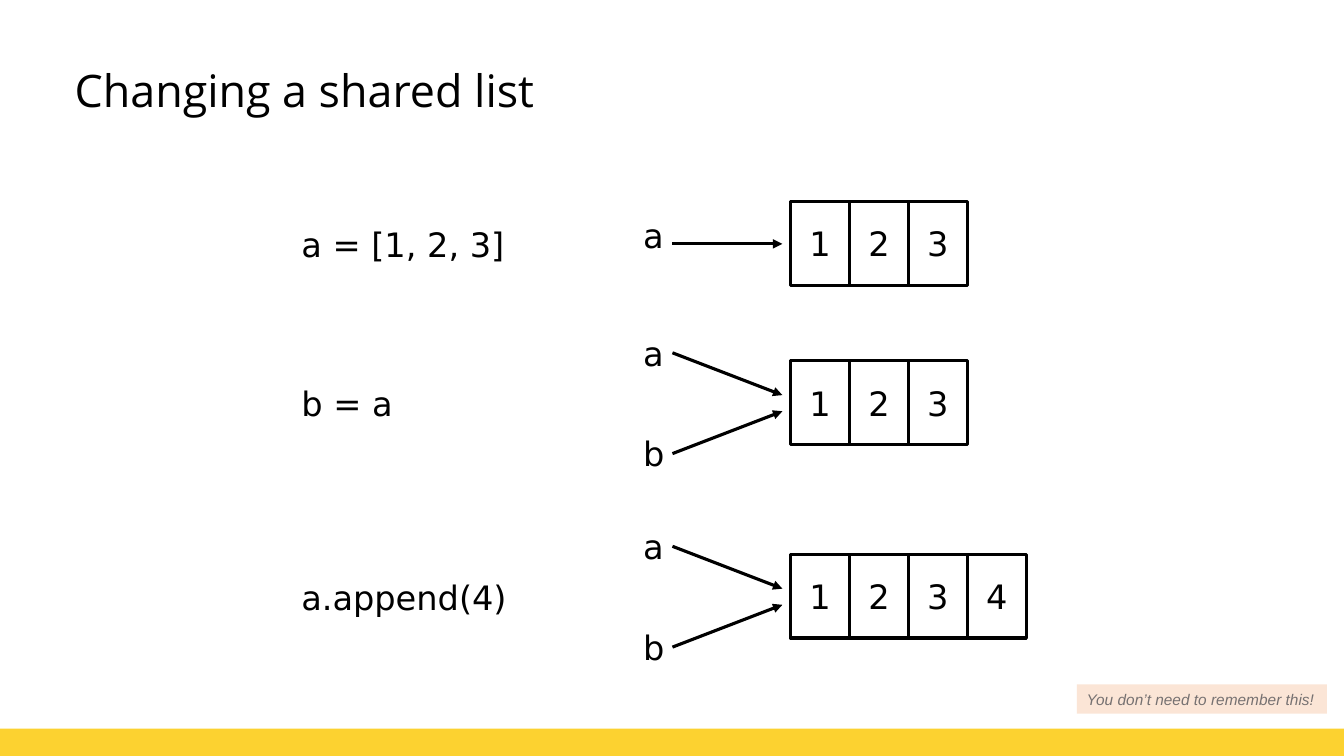
from lxml import etree
from pptx import Presentation
from pptx.dml.color import RGBColor
from pptx.enum.shapes import MSO_CONNECTOR, MSO_SHAPE
from pptx.enum.text import MSO_ANCHOR as Anchor, PP_ALIGN as Align
from pptx.oxml.ns import qn
from pptx.util import Inches, Pt

BLACK = RGBColor(0x00, 0x00, 0x00)
YELLOW = RGBColor(0xFC, 0xD2, 0x30)
PEACH = RGBColor(0xFB, 0xE5, 0xD6)
GREY = RGBColor(0x76, 0x71, 0x71)
CODE_FONT = "DejaVu Sans"

CODE_LEFT = 2.89
NAME_LEFT, NAME_WIDTH = 6.28, 0.35
ARROW_START, ARROW_END = 6.67, 7.76
CELL_LEFT, CELL_WIDTH, CELL_HEIGHT = 7.84, 0.585, 0.83

# Code, top of the list, values, and per name: label, its top, arrow start and end
# (the last three measured from the top of the list)
BOTH_NAMES = [("a", -0.33, -0.08, 0.34), ("b", 0.67, 0.92, 0.5)]
STEPS = [
    ("a = [1, 2, 3]", 2.0, "123", [("a", 0.08, 0.42, 0.42)]),
    ("b = a", 3.58, "123", BOTH_NAMES),
    ("a.append(4)", 5.5, "1234", BOTH_NAMES),
]

presentation = Presentation()
presentation.slide_width = Inches(13.33)
presentation.slide_height = Inches(7.5)
slide = presentation.slides.add_slide(presentation.slide_layouts[6])


def write(shape, text, size=24, font=CODE_FONT, color=BLACK, wrap=True):
    shape.text_frame.word_wrap = wrap
    paragraph = shape.text_frame.paragraphs[0]
    run = paragraph.add_run()
    run.text = text
    run.font.size = Pt(size)
    run.font.name = font
    run.font.color.rgb = color
    return paragraph


def add_box(left, top, width, height, fill=None):
    shape = slide.shapes.add_shape(
        MSO_SHAPE.RECTANGLE, Inches(left), Inches(top), Inches(width), Inches(height))
    shape.shadow.inherit = False
    if fill is None:
        shape.fill.background()
        shape.line.color.rgb = BLACK
        shape.line.width = Pt(2.25)
    else:
        shape.fill.solid()
        shape.fill.fore_color.rgb = fill
        shape.line.fill.background()
    return shape


# Bottom band
add_box(0, 7.23, 13.33, 0.27, YELLOW)

# Title
title = slide.shapes.add_textbox(Inches(0.67), Inches(0.3), Inches(12), Inches(1.25))
title.text_frame.vertical_anchor = Anchor.MIDDLE
title.text_frame.margin_left = title.text_frame.margin_right = Inches(0.07)
title.text_frame.margin_top = title.text_frame.margin_bottom = Inches(0.04)
write(title, "Changing a shared list", 32, "Open Sans").line_spacing = 0.9

for code, top, values, names in STEPS:
    # Code on the left
    code_box = slide.shapes.add_textbox(
        Inches(CODE_LEFT), Inches(top + 0.17), Inches(2.54), Inches(0.5))
    write(code_box, code)

    # Names and their arrows
    for name, name_top, start, end in names:
        label = slide.shapes.add_textbox(
            Inches(NAME_LEFT), Inches(top + name_top), Inches(NAME_WIDTH), Inches(0.5))
        write(label, name, wrap=False)
        arrow = slide.shapes.add_connector(
            MSO_CONNECTOR.STRAIGHT, Inches(ARROW_START), Inches(top + start),
            Inches(ARROW_END), Inches(top + end))
        arrow.line.color.rgb = BLACK
        arrow.line.width = Pt(2.25)
        etree.SubElement(arrow.line._get_or_add_ln(), qn("a:tailEnd"), type="triangle")
        etree.SubElement(arrow._element.spPr, qn("a:effectLst"))

    # List cells
    for index, value in enumerate(values):
        cell = add_box(CELL_LEFT + index * CELL_WIDTH, top, CELL_WIDTH, CELL_HEIGHT)
        cell.text_frame.vertical_anchor = Anchor.MIDDLE
        write(cell, value).alignment = Align.CENTER

# Note in the corner
note = add_box(10.68, 6.79, 2.48, 0.29, PEACH)
note.text_frame.vertical_anchor = Anchor.MIDDLE
note_text = write(note, "You don’t need to remember this!", 11, "Arial", GREY, wrap=False)
note_text.alignment = Align.LEFT
note_text.runs[0].font.italic = True

presentation.save("out.pptx")
